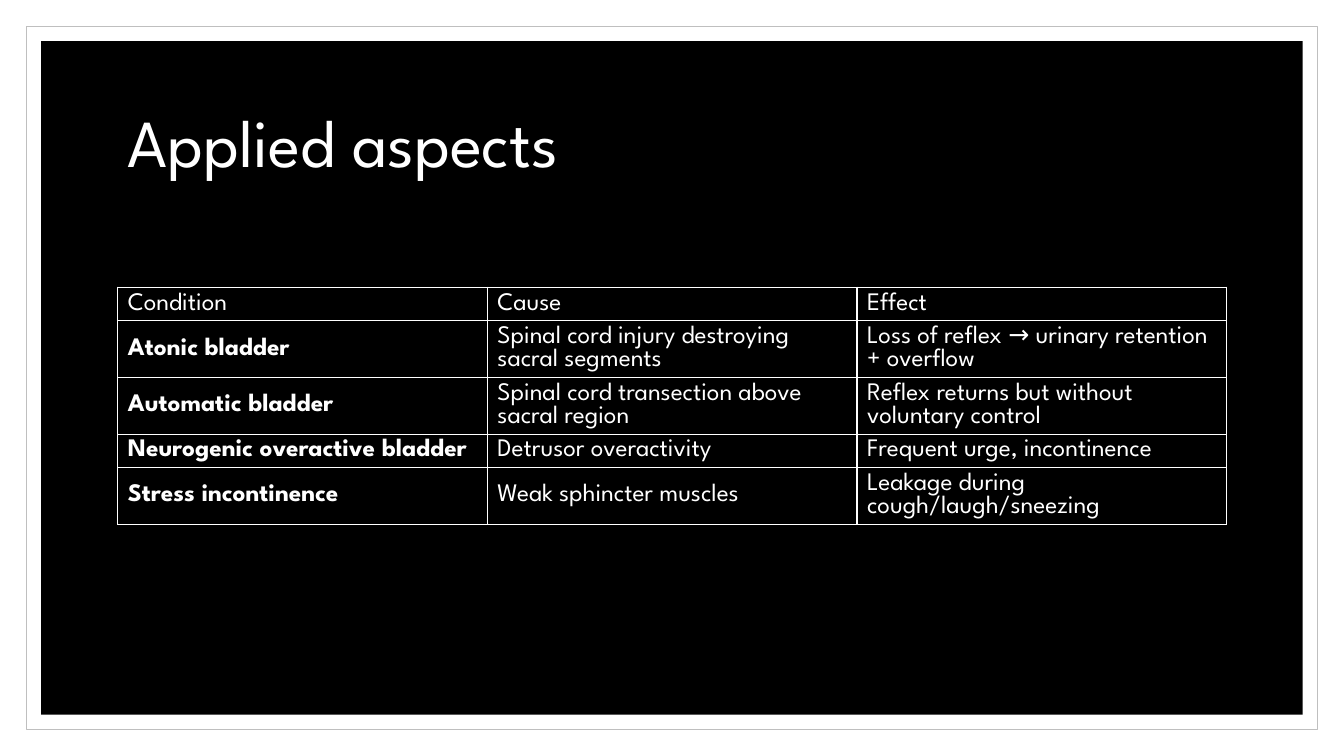
import pptx
import pptx.dml.color
import pptx.enum.shapes
import pptx.enum.text
import pptx.oxml
import pptx.oxml.ns
import pptx.util
from pptx.util import Cm

FONT = "League Spartan"
WHITE, BLACK, GREY = "FFFFFF", "000000", "BFBFBF"
TITLE = "Applied aspects"
ROWS = [
    ("Condition", "Cause", "Effect"),
    ("Atonic bladder", "Spinal cord injury destroying sacral segments",
     "Loss of reflex → urinary retention + overflow"),
    ("Automatic bladder", "Spinal cord transection above sacral region",
     "Reflex returns but without voluntary control"),
    ("Neurogenic overactive bladder", "Detrusor overactivity",
     "Frequent urge, incontinence"),
    ("Stress incontinence", "Weak sphincter muscles",
     "Leakage during cough/laugh/sneezing"),
]
ROW_LINES = [1, 2, 2, 1, 2]
PANELS = [(0.66, WHITE, GREY), (1.04, BLACK, None)]
WIDTH, HEIGHT = 33.87, 19.05
LEFT, CONTENT_WIDTH = 2.97, 27.94
LINE_HEIGHT, CELL_PADDING = 0.59, 0.25


def rgb(value):
    return pptx.dml.color.RGBColor.from_string(value)


def add_run(p, text, size, bold=False):
    r = p.add_run()
    r.text = text
    r.font.name = FONT
    r.font.size = pptx.util.Pt(size)
    r.font.bold = bold
    r.font.color.rgb = rgb(WHITE)


def add_borders(cell):
    tc_pr = cell._tc.get_or_add_tcPr()
    for side in "LRTB":
        tc_pr.append(pptx.oxml.parse_xml(
            f'<a:ln{side} {pptx.oxml.ns.nsdecls("a")} w="12700"><a:solidFill>'
            f'<a:srgbClr val="{WHITE}"/></a:solidFill></a:ln{side}>'))


prs = pptx.Presentation()
prs.slide_width, prs.slide_height = Cm(WIDTH), Cm(HEIGHT)
s = prs.slides.add_slide(prs.slide_layouts[5])
s.background.fill.solid()
s.background.fill.fore_color.rgb = rgb(WHITE)

title = s.shapes.title
title.left, title.top = Cm(LEFT), Cm(1.78)
title.width, title.height = Cm(CONTENT_WIDTH), Cm(3.81)
tf = title.text_frame
tf.word_wrap = True
tf.vertical_anchor = pptx.enum.text.MSO_ANCHOR.MIDDLE
p = tf.paragraphs[0]
p.alignment = pptx.enum.text.PP_ALIGN.LEFT
p.line_spacing = 0.9
add_run(p, TITLE, 48)

for inset, fill, line in PANELS:
    sp = s.shapes.add_shape(
        pptx.enum.shapes.MSO_SHAPE.RECTANGLE, Cm(inset), Cm(inset),
        Cm(WIDTH - 2 * inset), Cm(HEIGHT - 2 * inset))
    sp.shadow.inherit = False
    sp.fill.solid()
    sp.fill.fore_color.rgb = rgb(fill)
    if line:
        sp.line.color.rgb = rgb(line)
        sp.line.width = pptx.util.Pt(0.5)
    else:
        sp.line.fill.background()
    title._element.addprevious(sp._element)

heights = [LINE_HEIGHT * lines + CELL_PADDING for lines in ROW_LINES]
table = s.shapes.add_table(
    len(ROWS), len(ROWS[0]), Cm(LEFT), Cm(7.24),
    Cm(CONTENT_WIDTH), Cm(sum(heights))).table
table.first_row = False
table.horz_banding = False
for i, (row, height) in enumerate(zip(ROWS, heights)):
    table.rows[i].height = Cm(height)
    for j, text in enumerate(row):
        cell = table.cell(i, j)
        add_borders(cell)
        cell.fill.background()
        cell.vertical_anchor = pptx.enum.text.MSO_ANCHOR.MIDDLE
        add_run(cell.text_frame.paragraphs[0], text, 18, i > 0 and j == 0)

prs.save("out.pptx")
